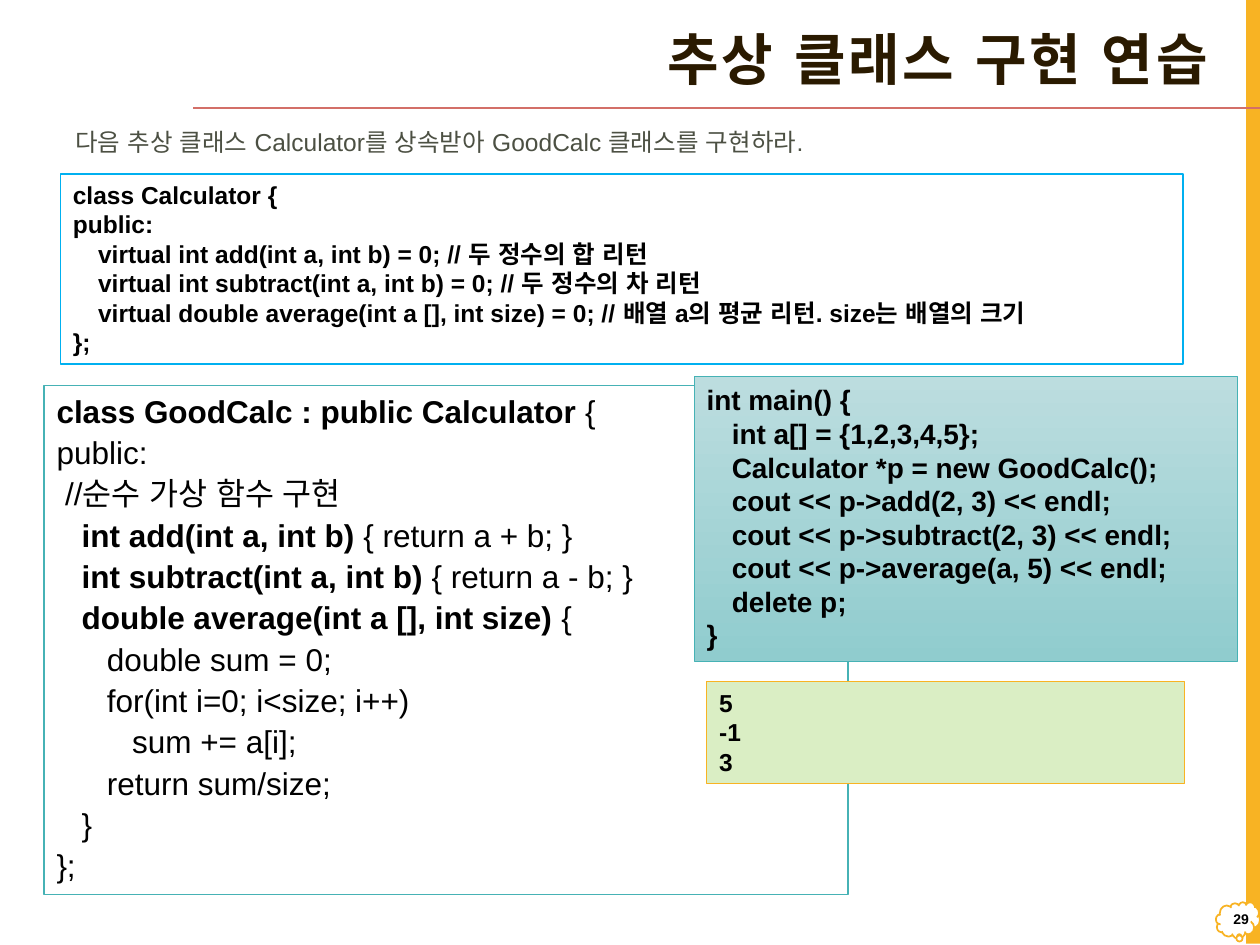
from dataclasses import dataclass
from typing import Optional

from lxml.etree import SubElement
from pptx import Presentation
from pptx.dml.color import RGBColor
from pptx.enum.shapes import MSO_CONNECTOR as Line, MSO_SHAPE as Shape
from pptx.enum.text import MSO_ANCHOR as Anchor, MSO_AUTO_SIZE as Fit, PP_ALIGN as Align
from pptx.oxml.ns import qn
from pptx.util import Inches, Pt

FONT = "Arial"
TAB = 0.2


@dataclass
class Panel:
    box: tuple[float, float, float, float]
    lines: list[list[tuple[str, bool]]]
    size: int
    edge: str
    width: float
    fill: Optional[tuple[str, ...]] = None
    gap: float = 0


def rgb(code: str) -> RGBColor:
    return RGBColor.from_string(code)


def place(box) -> list[int]:
    return [Inches(v) for v in box]


def bold(text: str) -> list[list[tuple[str, bool]]]:
    return [[(line, True)] for line in text.split("\n")]


def method(head: str, body: str) -> list[tuple[str, bool]]:
    return [("\t", False), (head, True), (body, False)]


def add_run(para, text: str, size: float, color: str = "000000", heavy: bool = False):
    """Add a run whose Latin and Korean letters share one font."""
    run = para.add_run()
    run.text = text
    font = run.font
    font.name, font.size, font.bold = FONT, Pt(size), heavy
    font.color.rgb = rgb(color)
    SubElement(font._element, qn("a:ea"), typeface=FONT)
    return run


def add_tabs(para) -> None:
    stops = SubElement(para._p.get_or_add_pPr(), qn("a:tabLst"))
    for step in range(1, 4):
        SubElement(stops, qn("a:tab"), pos=str(Inches(TAB * step)), algn="l")


def add_form(slide, kind, box, fill=(), edge: str = "", width: float = 1):
    """Draw a preset shape with no, a solid or a top-to-bottom gradient fill."""
    form = slide.shapes.add_shape(kind, *place(box))
    form.shadow.inherit = False
    if not fill:
        form.fill.background()
    elif len(fill) == 1:
        form.fill.solid()
        form.fill.fore_color.rgb = rgb(fill[0])
    else:
        form.fill.gradient()
        form.fill.gradient_angle = 270
        for stop, code in zip(form.fill.gradient_stops, fill):
            stop.color.rgb = rgb(code)
    if edge:
        form.line.color.rgb = rgb(edge)
        form.line.width = Pt(width)
    else:
        form.line.fill.background()
    return form


def add_panel(slide, panel: Panel) -> None:
    form = add_form(slide, Shape.RECTANGLE, panel.box, panel.fill, panel.edge, panel.width)
    frame = form.text_frame
    frame.word_wrap, frame.vertical_anchor = True, Anchor.TOP
    for i, line in enumerate(panel.lines):
        para = frame.add_paragraph() if i else frame.paragraphs[0]
        para.alignment = Align.LEFT
        if i and panel.gap:
            para.space_before = Pt(panel.gap)
        add_tabs(para)
        for text, heavy in line:
            add_run(para, text, panel.size, heavy=heavy)


def add_label(slide, box, text: str, size: float, color: str, heavy=False,
              align=Align.LEFT, anchor=Anchor.TOP, wrap=True) -> None:
    frame = slide.shapes.add_textbox(*place(box)).text_frame
    frame.word_wrap, frame.vertical_anchor = wrap, anchor
    para = frame.paragraphs[0]
    para.alignment = align
    add_run(para, text, size, color, heavy)


def add_title(slide, text: str) -> None:
    title = slide.shapes.title
    title.left, title.top, title.width, title.height = place((1.32, 0.13, 8.37, 0.73))
    frame = title.text_frame
    frame.auto_size, frame.vertical_anchor = Fit.NONE, Anchor.MIDDLE
    para = frame.paragraphs[0]
    para.alignment, para.line_spacing = Align.RIGHT, 0.9
    run = add_run(para, text, 32, "2A1A00", True)
    run.font._element.set("spc", "150")


def add_frame(slide) -> None:
    """Draw the side bar, the page badge and the rule under the title."""
    add_form(slide, Shape.RECTANGLE, (9.89, -0.01, 0.11, 7.5), ("F8B323",))
    cloud = add_form(slide, Shape.CLOUD_CALLOUT, (9.65, 7.16, 0.35, 0.29), ("FFFFFF",), "F8B323")
    cloud.adjustments[0], cloud.adjustments[1] = 0.03, 0.43
    rule = slide.shapes.add_connector(Line.STRAIGHT, *place((10, 0.86, 1.53, 0.86)))
    rule.line.color.rgb = rgb("D36F68")
    rule.line.width = Pt(1)
    SubElement(rule._element.spPr, qn("a:effectLst"))
    add_label(slide, (9.66, 7.12, 0.35, 0.35), "29", 8, "000000", True,
              Align.RIGHT, Anchor.MIDDLE)


GOOD = [
    [("class GoodCalc : public Calculator ", True), ("{", False)],
    [("public:", False)],
    [(" //순수 가상 함수 구현", False)],
    method("int add(int a, int b) ", "{ return a + b; }"),
    method("int subtract(int a, int b) ", "{ return a - b; }"),
    method("double average(int a [], int size) ", "{"),
    [("\t\tdouble sum = 0;", False)],
    [("\t\tfor(int i=0; i<size; i++)", False)],
    [("\t\t\tsum += a[i];", False)],
    [("\t\treturn sum/size;", False)],
    [("\t}", False)],
    [("};", False)],
]

MAIN = """int main() {
\tint a[] = {1,2,3,4,5};
\tCalculator *p = new GoodCalc();
\tcout << p->add(2, 3) << endl;
\tcout << p->subtract(2, 3) << endl;
\tcout << p->average(a, 5) << endl;
\tdelete p;
}"""

BASE = """class Calculator {
public:
\tvirtual int add(int a, int b) = 0; // 두 정수의 합 리턴
\tvirtual int subtract(int a, int b) = 0; // 두 정수의 차 리턴
\tvirtual double average(int a [], int size) = 0; // 배열 a의 평균 리턴. size는 배열의 크기
};"""

PANELS = [
    Panel((0.35, 3.06, 6.38, 4.04), GOOD, 18, "46B2B5", 1, ("FFFFFF",), gap=2),
    Panel((5.51, 2.99, 4.31, 2.26), bold(MAIN), 16, "46B2B5", 0.5, ("BCDDDF", "90CCCE")),
    Panel((5.61, 5.41, 3.79, 0.81), bold("5\n-1\n3"), 14, "F8B323", 0.75, ("DAEEC4",)),
    Panel((0.48, 1.38, 8.91, 1.51), bold(BASE), 14, "00B0F0", 0.75),
]


def main() -> None:
    deck = Presentation()
    deck.slide_width, deck.slide_height = Inches(10), Inches(7.5)
    slide = deck.slides.add_slide(deck.slide_layouts[5])
    add_frame(slide)
    add_title(slide, "추상 클래스 구현 연습")
    for panel in PANELS:
        add_panel(slide, panel)
    add_label(slide, (0.5, 0.96, 6.4, 0.34),
              "다음 추상 클래스 Calculator를 상속받아 GoodCalc 클래스를 구현하라.",
              14, "4C5043", wrap=False)
    deck.save("out.pptx")


if __name__ == "__main__":
    main()
